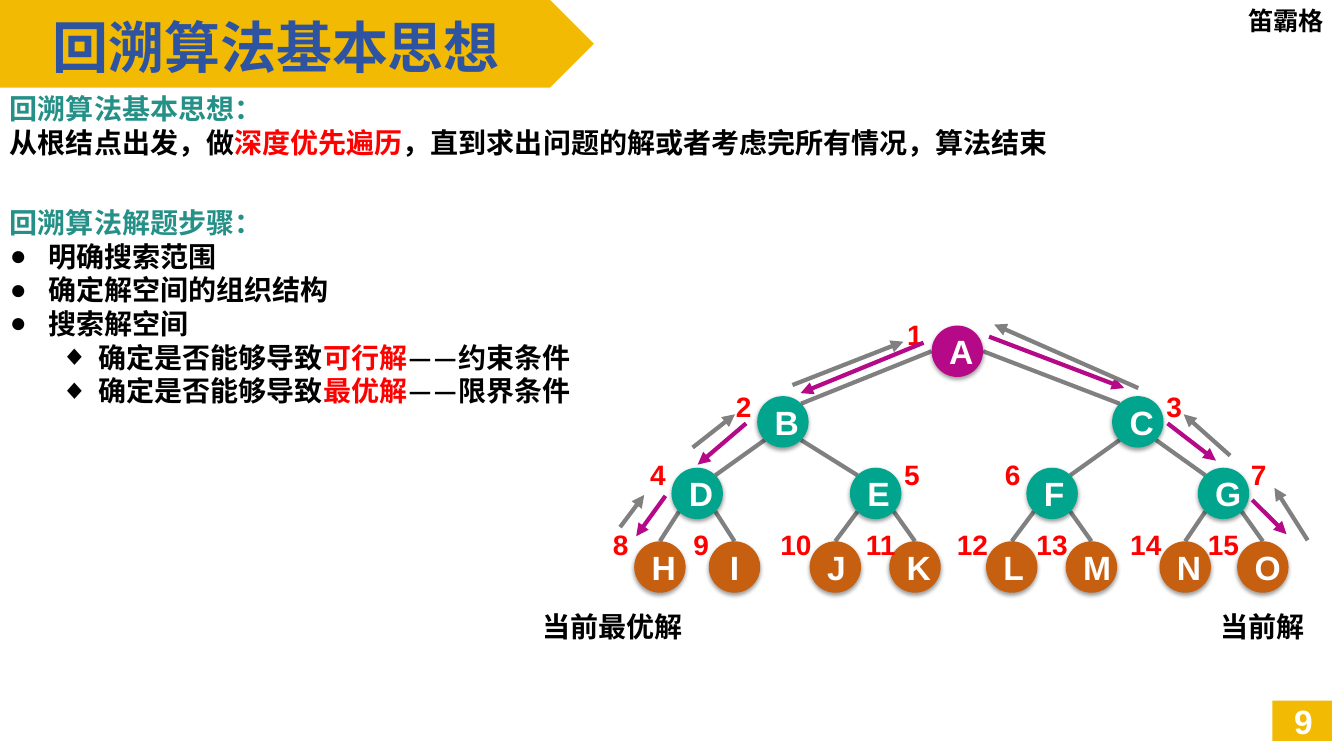
from dataclasses import dataclass

import lxml.etree
import pptx
import pptx.dml.color
import pptx.enum.shapes
import pptx.enum.text
import pptx.oxml
import pptx.oxml.ns
import pptx.util

Inches = pptx.util.Inches
Align = pptx.enum.text.PP_ALIGN
Shape = pptx.enum.shapes.MSO_SHAPE
qn = pptx.oxml.ns.qn

GOLD, TEAL, RED, BLACK, WHITE = "F2BA02", "249087", "FF0000", "000000", "FFFFFF"
PURPLE, GREEN, ORANGE, GREY = "B50988", "01A48D", "C65F10", "808080"
DIAMETER = 0.51
RADIUS = DIAMETER / 2
DIAGONAL = 0.18


@dataclass
class Level:
    top: float
    number_top: float
    color: str


@dataclass
class Node:
    letter: str
    left: float
    level: Level
    number_shift: float = -0.35

    def site(self, across: float, down: float) -> tuple[float, float]:
        return self.left + RADIUS + across, self.level.top + RADIUS + down


@dataclass
class Step:
    start: tuple[float, float]
    end: tuple[float, float]
    color: str


@dataclass
class Line:
    runs: list[tuple[str, str]]
    bullet: str = ""
    level: int = 0


ROOT = Level(3.23, 3.15, PURPLE)
SECOND = Level(3.93, 3.86, GREEN)
THIRD = Level(4.64, 4.54, GREEN)
LEAF = Level(5.37, 5.23, ORANGE)

# Breadth-first order: the children of node n are 2n and 2n + 1
NODES = [
    Node("A", 9.24, ROOT, -0.38),
    Node("B", 7.51, SECOND), Node("C", 11.03, SECOND, 0.4),
    Node("D", 6.66, THIRD), Node("E", 8.43, THIRD, 0.4),
    Node("F", 10.18, THIRD), Node("G", 11.88, THIRD, 0.39),
    Node("H", 6.29, LEAF), Node("I", 7.03, LEAF, -0.29),
    Node("J", 8.03, LEAF), Node("K", 8.82, LEAF, -0.3),
    Node("L", 9.78, LEAF), Node("M", 10.57, LEAF),
    Node("N", 11.5, LEAF), Node("O", 12.27, LEAF),
]

# Purple steps go down the tree, grey steps go back up
STEPS = [
    Step((9.16, 3.4), (7.94, 3.9), PURPLE),
    Step((7.4, 4.2), (6.92, 4.61), PURPLE),
    Step((6.6, 4.92), (6.31, 5.32), PURPLE),
    Step((6.15, 5.23), (6.39, 4.91), GREY),
    Step((6.87, 4.44), (7.29, 4.11), GREY),
    Step((7.86, 3.82), (8.96, 3.39), GREY),
    Step((9.81, 3.34), (11.15, 3.85), PURPLE),
    Step((11.58, 4.2), (12.06, 4.57), PURPLE),
    Step((12.42, 4.96), (12.76, 5.3), PURPLE),
    Step((12.97, 5.36), (12.64, 4.84), GREY),
    Step((12.2, 4.52), (11.74, 4.11), GREY),
    Step((11.29, 3.85), (9.86, 3.22), GREY),
]

IDEA = [
    Line([("回溯算法基本思想：", TEAL)]),
    Line([("从根结点出发，做", BLACK), ("深度优先遍历", RED),
          ("，直到求出问题的解或者考虑完所有情况，算法结束", BLACK)]),
]
PROCEDURE = [
    Line([("回溯算法解题步骤：", TEAL)]),
    *[Line([(text, BLACK)], "●") for text in ("明确搜索范围", "确定解空间的组织结构", "搜索解空间")],
    *[Line([("确定是否能够导致", BLACK), (goal, RED), (f"——{condition}", BLACK)], "◆", 1)
      for goal, condition in (("可行解", "约束条件"), ("最优解", "限界条件"))],
]


def rgb(value: str) -> pptx.dml.color.RGBColor:
    return pptx.dml.color.RGBColor.from_string(value)


def write(frame, text: str | list[Line], *, size: float = 20, font: str = "Calibri",
          color: str = BLACK, align=Align.LEFT, middle: bool = False,
          wrap: bool = True, grow: bool = False, inset: bool = True) -> None:
    """Fill a text frame with one plain line or with a list of styled lines."""
    frame.word_wrap = wrap
    if grow:
        frame.auto_size = pptx.enum.text.MSO_AUTO_SIZE.SHAPE_TO_FIT_TEXT
    anchor = pptx.enum.text.MSO_ANCHOR
    frame.vertical_anchor = anchor.MIDDLE if middle else anchor.TOP
    if not inset:
        frame.margin_left = frame.margin_right = frame.margin_top = frame.margin_bottom = 0
    lines = [Line([(text, color)])] if isinstance(text, str) else text
    for index, line in enumerate(lines):
        paragraph = frame.add_paragraph() if index else frame.paragraphs[0]
        paragraph.alignment = align
        if line.bullet:
            paragraph.level = line.level
            properties = paragraph._p.get_or_add_pPr()
            properties.set("marL", str(Inches(0.38 + 0.5 * line.level)))
            properties.set("indent", str(Inches(-0.38)))
            lxml.etree.SubElement(properties, qn("a:buFont")).set("typeface", "Arial")
            lxml.etree.SubElement(properties, qn("a:buChar")).set("char", line.bullet)
        for words, run_color in line.runs:
            run = paragraph.add_run()
            run.text = words
            run.font.size = pptx.util.Pt(size)
            run.font.bold = True
            run.font.name = font
            run.font.color.rgb = rgb(run_color)
            east_asian = lxml.etree.SubElement(run._r.get_or_add_rPr(), qn("a:ea"))
            east_asian.set("typeface", font)


def add_text(slide, left: float, top: float, width: float, height: float,
             text: str | list[Line], **style) -> None:
    box = slide.shapes.add_textbox(Inches(left), Inches(top), Inches(width), Inches(height))
    write(box.text_frame, text, **style)


def add_block(slide, kind, left: float, top: float, width: float, height: float, fill: str):
    block = slide.shapes.add_shape(kind, Inches(left), Inches(top), Inches(width), Inches(height))
    block.shadow.inherit = False
    block.fill.solid()
    block.fill.fore_color.rgb = rgb(fill)
    block.line.fill.background()
    return block


def add_line(slide, start: tuple[float, float], end: tuple[float, float],
             color: str, arrow: bool = False) -> None:
    line = slide.shapes.add_connector(pptx.enum.shapes.MSO_CONNECTOR.STRAIGHT,
                                      *map(Inches, (*start, *end)))
    line.line.color.rgb = rgb(color)
    line.line.width = pptx.util.Pt(3)
    if arrow:
        outline = line.line._get_or_add_ln()
        lxml.etree.SubElement(outline, qn("a:tailEnd")).set("type", "triangle")
    lxml.etree.SubElement(line._element.spPr, qn("a:effectLst"))


def add_edge(slide, parent: Node, child: Node, side: int) -> None:
    """Join a parent to its left (side -1) or right (side 1) child."""
    start = parent.site(side * RADIUS, 0) if parent.level is ROOT else parent.site(side * DIAGONAL, DIAGONAL)
    end = child.site(0, -RADIUS) if child.level is LEAF else child.site(-side * DIAGONAL, -DIAGONAL)
    add_line(slide, start, end, GREY)


def add_node(slide, node: Node, number: int) -> None:
    circle = add_block(slide, Shape.OVAL, node.left, node.level.top, DIAMETER, DIAMETER, node.level.color)
    effects = circle._element.spPr.find(qn("a:effectLst"))
    effects.append(pptx.oxml.parse_xml(
        '<a:outerShdw xmlns:a="http://schemas.openxmlformats.org/drawingml/2006/main" '
        'blurRad="39370" dist="20320" dir="5400000" rotWithShape="0">'
        '<a:srgbClr val="000000"><a:alpha val="38000"/></a:srgbClr></a:outerShdw>'))
    write(circle.text_frame, node.letter, size=24, font="Arial", color=WHITE,
          align=Align.CENTER, middle=True)
    add_text(slide, node.left + node.number_shift, node.level.number_top, 0.43, 0.34, str(number),
             font="Arial", color=RED, align=Align.CENTER, grow=True, inset=False)


def main() -> None:
    deck = pptx.Presentation()
    deck.slide_width, deck.slide_height = Inches(13.33), Inches(7.5)
    slide = deck.slides.add_slide(deck.slide_layouts[6])

    # Banner, corner name and page number
    add_block(slide, Shape.RECTANGLE, 12.62, 6.95, 0.59, 0.4, GOLD)
    add_block(slide, Shape.PENTAGON, 0, 0, 5.89, 0.87, GOLD)
    add_text(slide, 12.28, 0, 1.05, 0.4, "笛霸格", size=18, grow=True)
    add_text(slide, 12.42, 6.95, 0.7, 0.4, "9", size=24, font="Arial", color=WHITE,
             align=Align.RIGHT, middle=True)
    add_text(slide, 0.42, 0.08, 4.64, 0.77, "回溯算法基本思想", size=40, color="2E54A1",
             wrap=False, grow=True)

    # Explanation
    add_text(slide, 0, 0.86, 10.76, 0.78, IDEA)
    add_text(slide, 0, 1.99, 6.03, 2.12, PROCEDURE)

    # Search tree
    for index, child in enumerate(NODES[1:], start=1):
        add_edge(slide, NODES[(index - 1) // 2], child, -1 if index % 2 else 1)
    for number, node in enumerate(NODES, start=1):
        add_node(slide, node, number)

    # Traversal and its solutions
    for step in STEPS:
        add_line(slide, step.start, step.end, step.color, arrow=True)
    add_text(slide, 5.28, 6, 1.82, 0.46, "当前最优解", font="Noto Sans CJK SC")
    add_text(slide, 12.01, 6, 1.09, 0.46, "当前解", font="Noto Sans CJK SC")

    deck.save("out.pptx")


if __name__ == "__main__":
    main()
